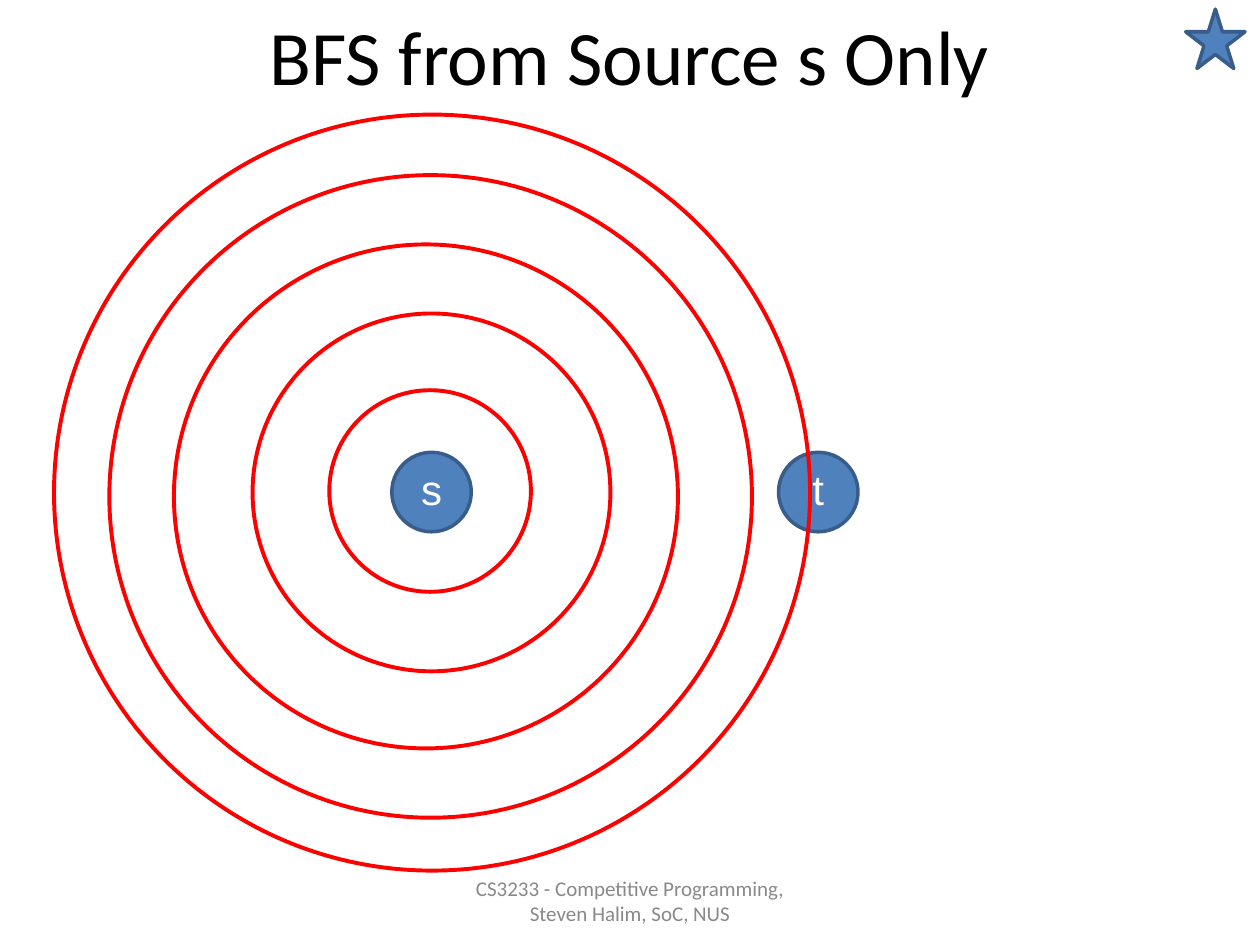
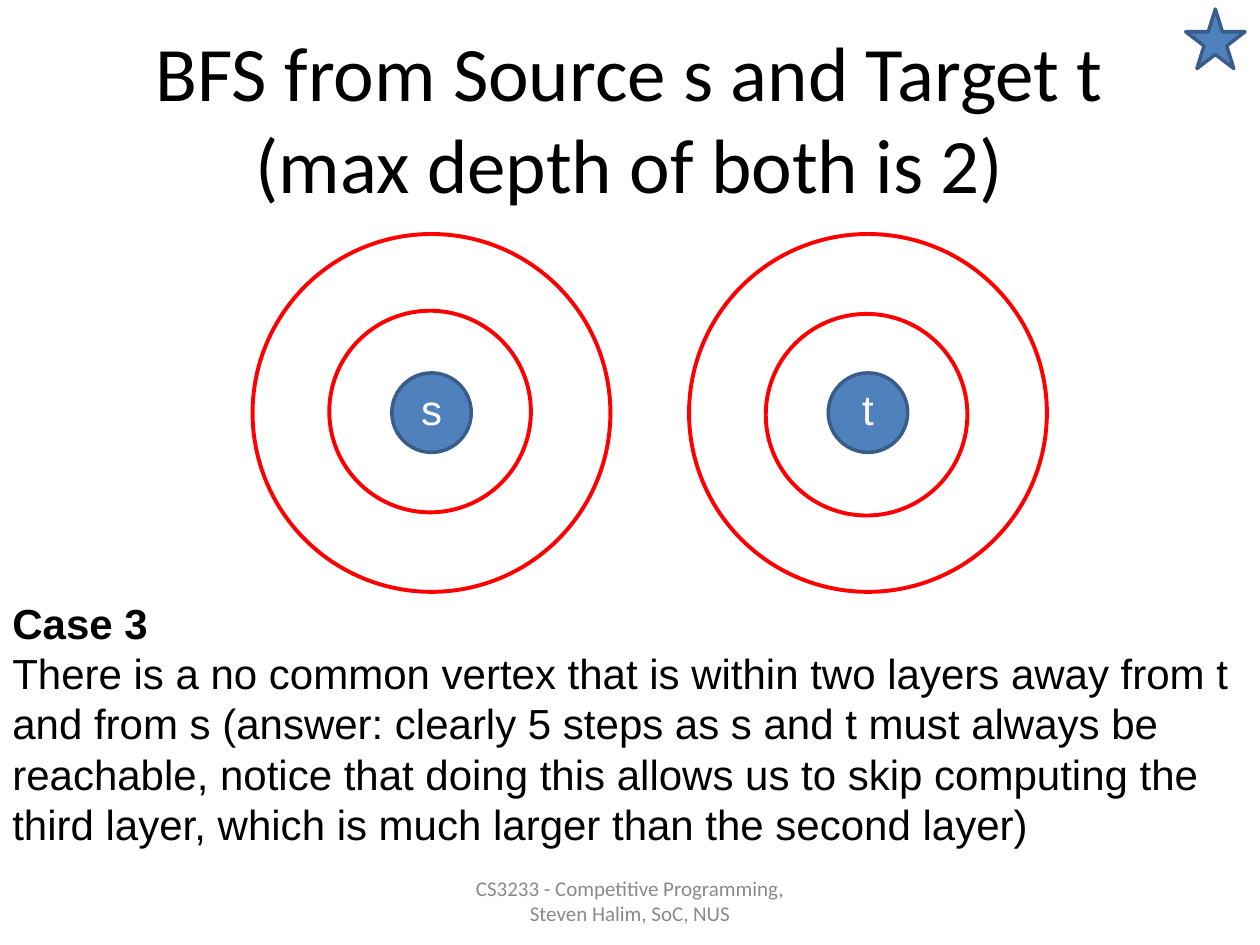
from pptx import Presentation
from pptx.dml.color import RGBColor
from pptx.enum.shapes import MSO_SHAPE as Shape
from pptx.enum.text import MSO_ANCHOR as Anchor, PP_ALIGN as Align
from pptx.util import Pt

BLACK = RGBColor(0x00, 0x00, 0x00)
WHITE = RGBColor(0xFF, 0xFF, 0xFF)
GREY = RGBColor(0x89, 0x89, 0x89)
RED = RGBColor(0xFF, 0x00, 0x00)
BLUE = RGBColor(0x4F, 0x81, 0xBD)
NAVY = RGBColor(0x38, 0x5D, 0x8A)

PAGE_WIDTH, PAGE_HEIGHT = 720, 540
NODE_SIZE = 45.4
FOOTER = "CS3233 - Competitive Programming,\nSteven Halim, SoC, NUS"
CASE_HEADING = "Case 3"
CASE_TEXT = (
    "There is a no common vertex that is within two layers away from t and from s "
    "(answer: clearly 5 steps as s and t must always be reachable, notice that doing "
    "this allows us to skip computing the third layer, which is much larger than the "
    "second layer)"
)


def style_para(para, size, color, font="Calibri", align=Align.CENTER, bold=False):
    para.alignment = align
    for span in para.runs:
        span.font.name = font
        span.font.size = Pt(size)
        span.font.bold = bold
        span.font.color.rgb = color


def add_text_box(page, box, anchor=Anchor.MIDDLE):
    frame = page.shapes.add_textbox(*map(Pt, box)).text_frame
    frame.word_wrap = True
    frame.vertical_anchor = anchor
    return frame


def add_centred_text(page, box, text, size, color):
    para = add_text_box(page, box).paragraphs[0]
    para.text = text
    style_para(para, size, color)


def add_outlined(page, kind, box, line, width, fill=None):
    shape = page.shapes.add_shape(kind, *map(Pt, box))
    shape.shadow.inherit = False
    if fill is None:
        shape.fill.background()
    else:
        shape.fill.solid()
        shape.fill.fore_color.rgb = fill
    shape.line.color.rgb = line
    shape.line.width = Pt(width)
    return shape


def circle_box(center, size):
    x, y = center
    return x - size / 2, y - size / 2, size, size


def add_node(page, center, label):
    node = add_outlined(page, Shape.OVAL, circle_box(center, NODE_SIZE), NAVY, 2, BLUE)
    frame = node.text_frame
    frame.word_wrap = False
    frame.vertical_anchor = Anchor.MIDDLE
    frame.margin_left = frame.margin_right = frame.margin_top = 0
    frame.margin_bottom = Pt(4)
    frame.text = label
    style_para(frame.paragraphs[0], 24, WHITE, "Arial")


def add_rings(page, center, rings):
    x, y = center
    for size, shift_x, shift_y in rings:
        add_outlined(page, Shape.OVAL, circle_box((x + shift_x, y + shift_y), size), RED, 2.25)


def add_case(page, box):
    frame = add_text_box(page, box, Anchor.TOP)
    frame.text = f"{CASE_HEADING}\n{CASE_TEXT}"
    for para, bold in zip(frame.paragraphs, (True, False)):
        style_para(para, 24, BLACK, "Arial", Align.LEFT, bold)


def add_page(deck, title, title_top):
    page = deck.slides.add_slide(deck.slide_layouts[6])
    add_centred_text(page, (36, title_top, 648, 90), title, 44, BLACK)
    add_centred_text(page, (246, 500.4, 228, 28.8), FOOTER, 12, GREY)
    add_outlined(page, Shape.STAR_5_POINT, (677.5, 5.2, 34, 34), NAVY, 2, BLUE)
    return page


def build_single_source(deck):
    page = add_page(deck, "BFS from Source s Only", -13.7)
    source, target = (246.6, 281.2), (467.6, 281.2)
    add_node(page, source, "s")
    add_node(page, target, "t")
    add_rings(page, source, [
        (115.2, -0.8, -0.6),
        (204.5, 0, 0.2),
        (288, -3.2, 2.5),
        (367.2, -0.5, 2.5),
        (432, 0.3, 0.3),
    ])


def build_two_sources(deck):
    page = add_page(deck, "BFS from Source s and Target t\n(max depth of both is 2)", 21.6)
    searches = [
        ("s", (246.6, 235.8), (-0.8, -0.6)),
        ("t", (496, 235.8), (-0.8, 1.2)),
    ]
    for label, center, inner_shift in searches:
        add_node(page, center, label)
        add_rings(page, center, [(115.2, *inner_shift), (204.5, 0, 0.2)])
    add_case(page, (0, 337.7, PAGE_WIDTH, 151.2))


def main():
    deck = Presentation()
    deck.slide_width, deck.slide_height = Pt(PAGE_WIDTH), Pt(PAGE_HEIGHT)
    build_single_source(deck)
    build_two_sources(deck)
    deck.save("out.pptx")


if __name__ == "__main__":
    main()
